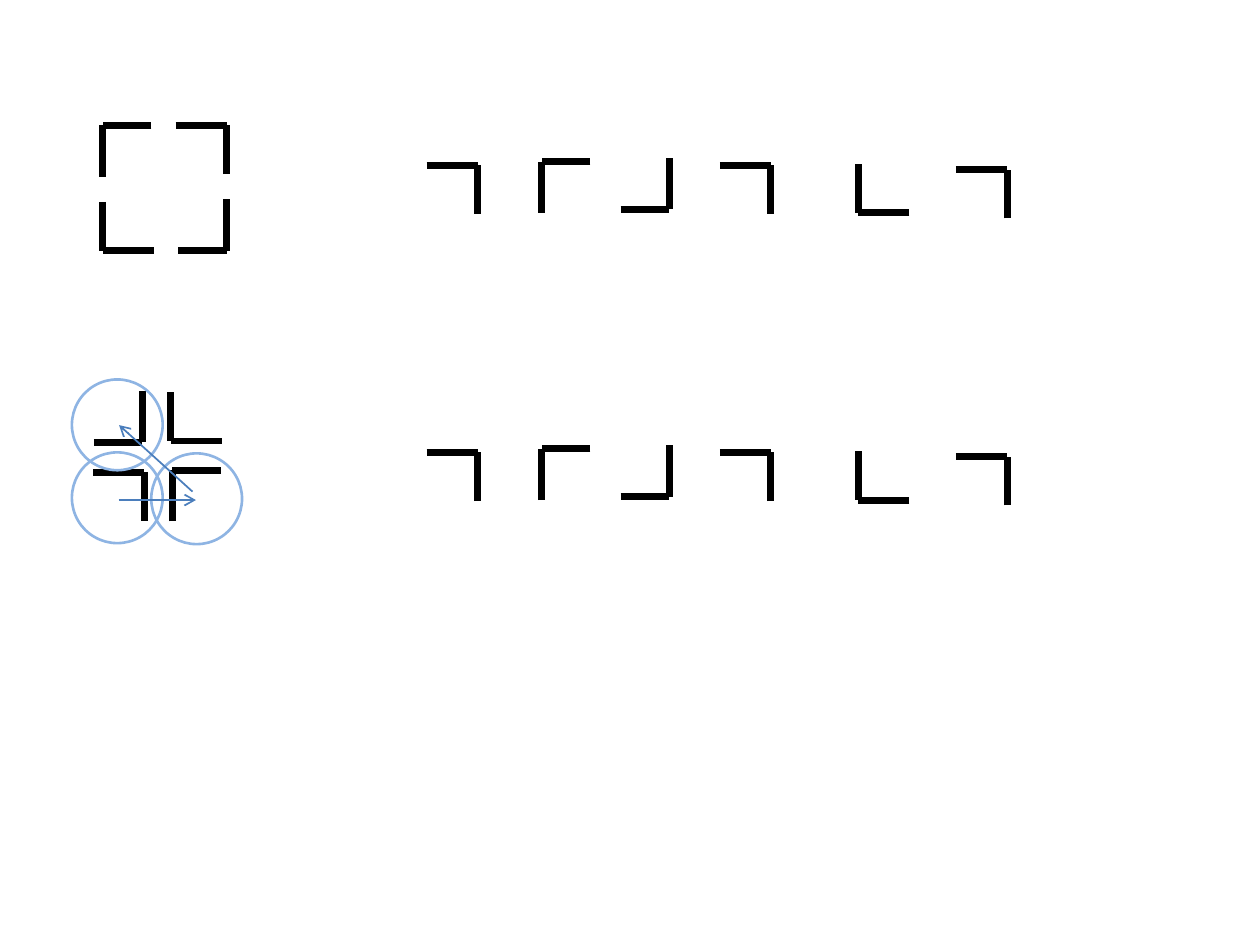
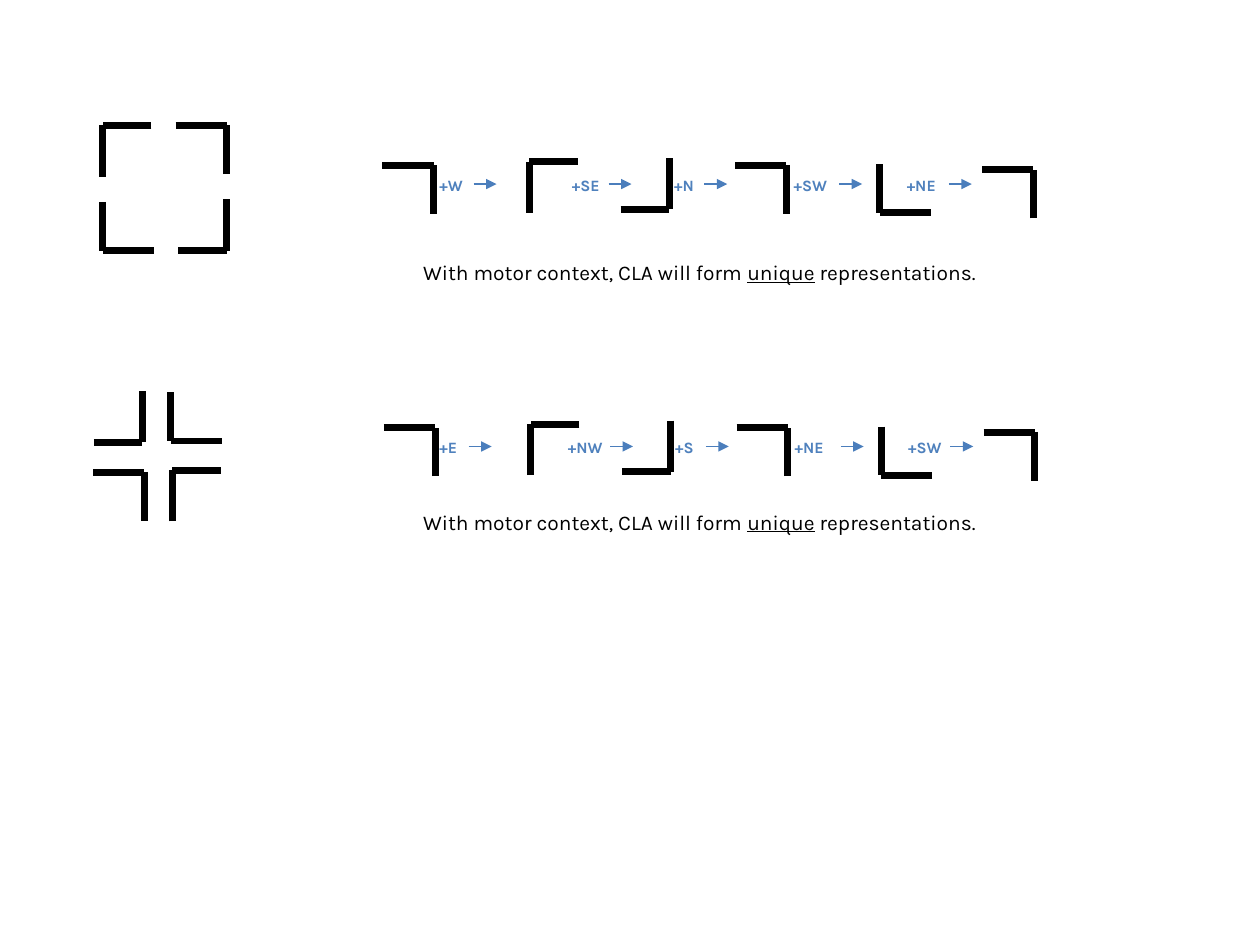
import pptx
import pptx.util
import pptx.dml.color
import pptx.enum.shapes
import pptx.oxml.ns
import lxml.etree

Cm = pptx.util.Cm
Pt = pptx.util.Pt
RGB = pptx.dml.color.RGBColor

BLACK = RGB(0x00, 0x00, 0x00)
BLUE = RGB(0x4B, 0x7E, 0xBC)
LABEL = RGB(0x4F, 0x81, 0xBD)
SKY = RGB(0x8E, 0xB4, 0xE3)
FONT = "Karla"

# Arm ends in cm from the vertex: the level arm, then the upright arm
SHORT, LONG = 0.98, 1.03
ARMS = {
    "NW": (SHORT, LONG),
    "NE": (-LONG, SHORT),
    "SE": (-SHORT, -LONG),
    "SW": (LONG, -SHORT),
}

SQUARE = [("NW", 2.07, 2.53), ("SW", 2.07, 5.05),
          ("SE", 4.57, 5.05), ("NE", 4.57, 2.53)]
CROSS = [("NE", 2.91, 9.52), ("NW", 3.47, 9.48),
         ("SE", 2.87, 8.92), ("SW", 3.44, 8.89)]

# Each glimpse in a row: corner kind and height
GLIMPSES = [("NE", 3.33), ("NW", 3.26), ("SE", 4.22),
            ("NE", 3.33), ("SW", 4.29), ("NE", 3.42)]
PLAIN = [9.63, 10.92, 13.49, 15.54, 17.3, 20.3]
SPACED = [8.74, 10.67, 13.49, 15.85, 17.73, 20.83]

# Each move: text, left and width of its label, start of its arrow
SQUARE_MOVES = [("+W", 8.61, 1.3, 9.55), ("+SE", 11.28, 1.19, 12.27),
                ("+N", 13.34, 1.02, 14.2), ("+SW", 15.75, 1.35, 16.92),
                ("+NE", 18.03, 1.35, 19.13)]
CROSS_MOVES = [("+E", 8.58, 1.3, 9.42), ("+NW", 11.17, 1.45, 12.27),
               ("+S", 13.33, 1.02, 14.2), ("+NE", 15.74, 1.35, 16.92),
               ("+SW", 18.03, 1.35, 19.13)]
CAPTION = [("With motor context, CLA will form ", False),
           ("unique", True), (" representations.", False)]


class Deck:
    def __init__(self):
        self.show = pptx.Presentation()
        self.show.slide_width = Cm(25.4)
        self.show.slide_height = Cm(19.05)
        self.slide = None

    def page(self):
        """Start a slide with the two figures on its left."""
        self.slide = self.show.slides.add_slide(self.show.slide_layouts[6])
        for kind, x, y in SQUARE + CROSS:
            self.corner(kind, x, y)

    def line(self, start, end, color, width, head=None, shapes=None):
        shapes = shapes or self.slide.shapes
        line = shapes.add_connector(
            pptx.enum.shapes.MSO_CONNECTOR.STRAIGHT,
            *(Cm(value) for value in start + end))
        line.line.color.rgb = color
        line.line.width = Pt(width)
        props = line._element.spPr
        qn = pptx.oxml.ns.qn
        if head:
            lxml.etree.SubElement(
                props.find(qn("a:ln")), qn("a:tailEnd"), type=head)
        lxml.etree.SubElement(props, qn("a:effectLst"))

    def corner(self, kind, x, y):
        across, down = ARMS[kind]
        group = self.slide.shapes.add_group_shape()
        for end in ((x + across, y), (x, y + down)):
            self.line(end, (x, y), BLACK, 4, shapes=group.shapes)

    def row(self, places, dx=0, dy=0):
        for (kind, y), x in zip(GLIMPSES, places):
            self.corner(kind, x + dx, y + dy)

    def ring(self, x, y):
        ring = self.slide.shapes.add_shape(
            pptx.enum.shapes.MSO_SHAPE.OVAL, Cm(x), Cm(y), Cm(1.83), Cm(1.83))
        ring.shadow.inherit = False
        ring.fill.background()
        ring.line.color.rgb = SKY
        ring.line.width = Pt(1.5)

    def text(self, runs, x, y, width, height, size, color, bold=False):
        frame = self.slide.shapes.add_textbox(
            Cm(x), Cm(y), Cm(width), Cm(height)).text_frame
        frame.word_wrap = True
        para = frame.paragraphs[0]
        para.font.name = FONT
        para.font.size = Pt(size)
        para.font.bold = bold
        para.font.color.rgb = color
        for words, under in runs:
            run = para.add_run()
            run.text = words
            if under:
                run.font.underline = True

    def moves(self, steps, dx=0, dy=0):
        for words, x, width, start in steps:
            self.text([(words, False)], x + dx, 3.41 + dy, width, 0.79,
                      9, LABEL, bold=True)
            begin, y = start + dx, 3.71 + dy
            self.line((begin, y), (begin + 0.46, y), BLUE, 1, "triangle")


def main():
    deck = Deck()

    deck.page()
    for dy in (0, 5.79):
        deck.row(PLAIN, dy=dy)
    for x, y in ((1.45, 7.65), (3.05, 9.14), (1.45, 9.12)):
        deck.ring(x, y)
    deck.line((2.39, 10.08), (3.95, 10.08), BLUE, 1, "arrow")
    deck.line((3.88, 9.91), (2.4, 8.57), BLUE, 1, "arrow")

    deck.page()
    for steps, dx, dy, y in ((SQUARE_MOVES, 0, 0, 5.11),
                             (CROSS_MOVES, 0.03, 5.29, 10.14)):
        deck.row(SPACED, dx, dy)
        deck.moves(steps, dx, dy)
        deck.text(CAPTION, 8.28, y, 12.07, 0.99, 12, BLACK)

    deck.show.save("out.pptx")


if __name__ == "__main__":
    main()
